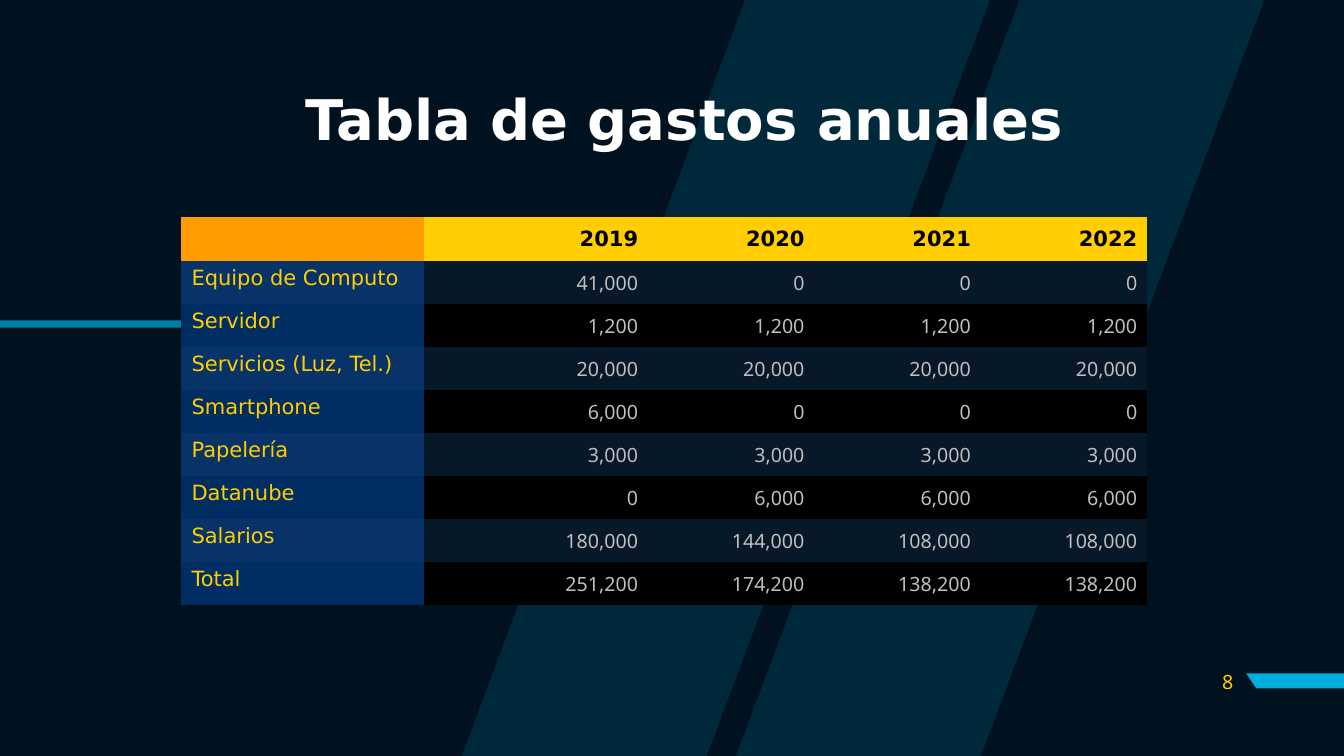
from lxml.etree import SubElement
from pptx import Presentation
from pptx.dml.color import RGBColor
from pptx.enum.text import MSO_ANCHOR, PP_ALIGN
from pptx.oxml.ns import qn
from pptx.util import Inches, Pt

TITLE = "Tabla de gastos anuales"
PAGE = "8"
YEARS = ["", "2019", "2020", "2021", "2022"]
COSTS = [
    ("Equipo de Computo", 41000, 0, 0, 0),
    ("Servidor", 1200, 1200, 1200, 1200),
    ("Servicios (Luz, Tel.)", 20000, 20000, 20000, 20000),
    ("Smartphone", 6000, 0, 0, 0),
    ("Papelería", 3000, 3000, 3000, 3000),
    ("Datanube", 0, 6000, 6000, 6000),
    ("Salarios", 180000, 144000, 108000, 108000),
    ("Total", 251200, 174200, 138200, 138200),
]
COLORS = {
    "night": "00111F", "cyan": "00AEDE", "white": "FFFFFF", "black": "000000",
    "orange": "FF9D00", "gold": "FFCD00", "navy": "002E62", "gray": "BFBFBF",
    "dusk": "071829", "blue": "083368",
}
HEAD, BODY = "DejaVu Sans", "Noto Sans"
WIDE, HIGH = 13.33, 7.5
COLS = [2.41, 2.22, 1.65, 1.65, 1.65]
LEFT, TOP, FIRST, ROW = 1.8, 2.15, 0.44, 3.84 / 9
SLANT, BAND, STEP = 2.81, 2.43, 2.72
UNITS = 1000
STRIPES = [
    [(x, HIGH), (x + BAND, HIGH), (x + BAND + SLANT, 0), (x + SLANT, 0)]
    for x in (4.58, 4.58 + STEP)
]
CORNER = [[(WIDE, 6.68), (WIDE, 6.83), (12.46, 6.83), (12.36, 6.68)]]
BAR = [[(0, 3.18), (0, 3.25), (2.84, 3.25), (2.86, 3.18)]]


def tone(name):
    return RGBColor.from_string(COLORS[name])


def paint(fill, name):
    fill.solid()
    fill.fore_color.rgb = tone(name)


def draw(slide, rings, share):
    rings = [[(x * UNITS, y * UNITS) for x, y in ring] for ring in rings]
    pen = slide.shapes.build_freeform(*rings[0][0], scale=Inches(1) / UNITS)
    for i, ring in enumerate(rings):
        if i:
            pen.move_to(*ring[0])
        pen.add_line_segments(ring[1:], close=True)
    shape = pen.convert_to_shape()
    shape.shadow.inherit = False
    shape.line.fill.background()
    paint(shape.fill, "cyan")
    if share < 100:
        for color in shape._element.iter(qn("a:srgbClr")):
            SubElement(color, qn("a:alpha"), val=str(share * 1000))


def write(frame, text, align, font, size, color, bold=False):
    frame.text = text
    para = frame.paragraphs[0]
    para.alignment = align
    for run in para.runs:
        run.font.name = font
        run.font.size = Pt(size)
        run.font.bold = bold
        run.font.color.rgb = tone(color)
    return para


def label(slide, box, *style):
    frame = slide.shapes.add_textbox(*map(Inches, box)).text_frame
    frame.word_wrap = True
    frame.vertical_anchor = MSO_ANCHOR.MIDDLE
    return write(frame, *style)


def fill_cell(cell, r, c, value):
    odd = r % 2
    if r == 0:
        shade = "gold" if c else "orange"
        style = (PP_ALIGN.RIGHT, HEAD, 15, "black", True)
    elif c == 0:
        shade = "blue" if odd else "navy"
        style = (PP_ALIGN.LEFT, HEAD, 15, "gold")
    else:
        shade = "dusk" if odd else "black"
        style = (PP_ALIGN.RIGHT, BODY, 14, "gray")
    props = cell._tc.get_or_add_tcPr()
    for side in ("lnL", "lnR", "lnT", "lnB"):
        edge = SubElement(props, qn("a:" + side), w="0")
        SubElement(edge, qn("a:noFill"))
    paint(cell.fill, shade)
    if c:
        cell.vertical_anchor = MSO_ANCHOR.MIDDLE
    text = value if isinstance(value, str) else f"{value:,}"
    write(cell.text_frame, text, *style)


def add_costs(slide):
    rows = [YEARS, *COSTS]
    box = (LEFT, TOP, sum(COLS), FIRST + ROW * len(COSTS))
    table = slide.shapes.add_table(len(rows), len(COLS), *map(Inches, box)).table
    table.first_row = table.horz_banding = False
    for col, width in zip(table.columns, COLS):
        col.width = Inches(width)
    for r, row in enumerate(rows):
        table.rows[r].height = Inches(ROW if r else FIRST)
        for c, value in enumerate(row):
            fill_cell(table.cell(r, c), r, c, value)


def main():
    deck = Presentation()
    deck.slide_width, deck.slide_height = Inches(WIDE), Inches(HIGH)
    slide = deck.slides.add_slide(deck.slide_layouts[6])
    paint(slide.background.fill, "night")
    for rings, share in ((STRIPES, 15), (CORNER, 100), (BAR, 70)):
        draw(slide, rings, share)
    title = label(slide, (1.47, 0.49, 10.63, 1.44), TITLE,
                  PP_ALIGN.CENTER, HEAD, 40, "white", True)
    title.line_spacing = 0.9
    add_costs(slide)
    label(slide, (11.73, 6.56, 0.6, 0.4), PAGE, PP_ALIGN.RIGHT, BODY, 14, "gold")
    deck.save("out.pptx")


if __name__ == "__main__":
    main()
